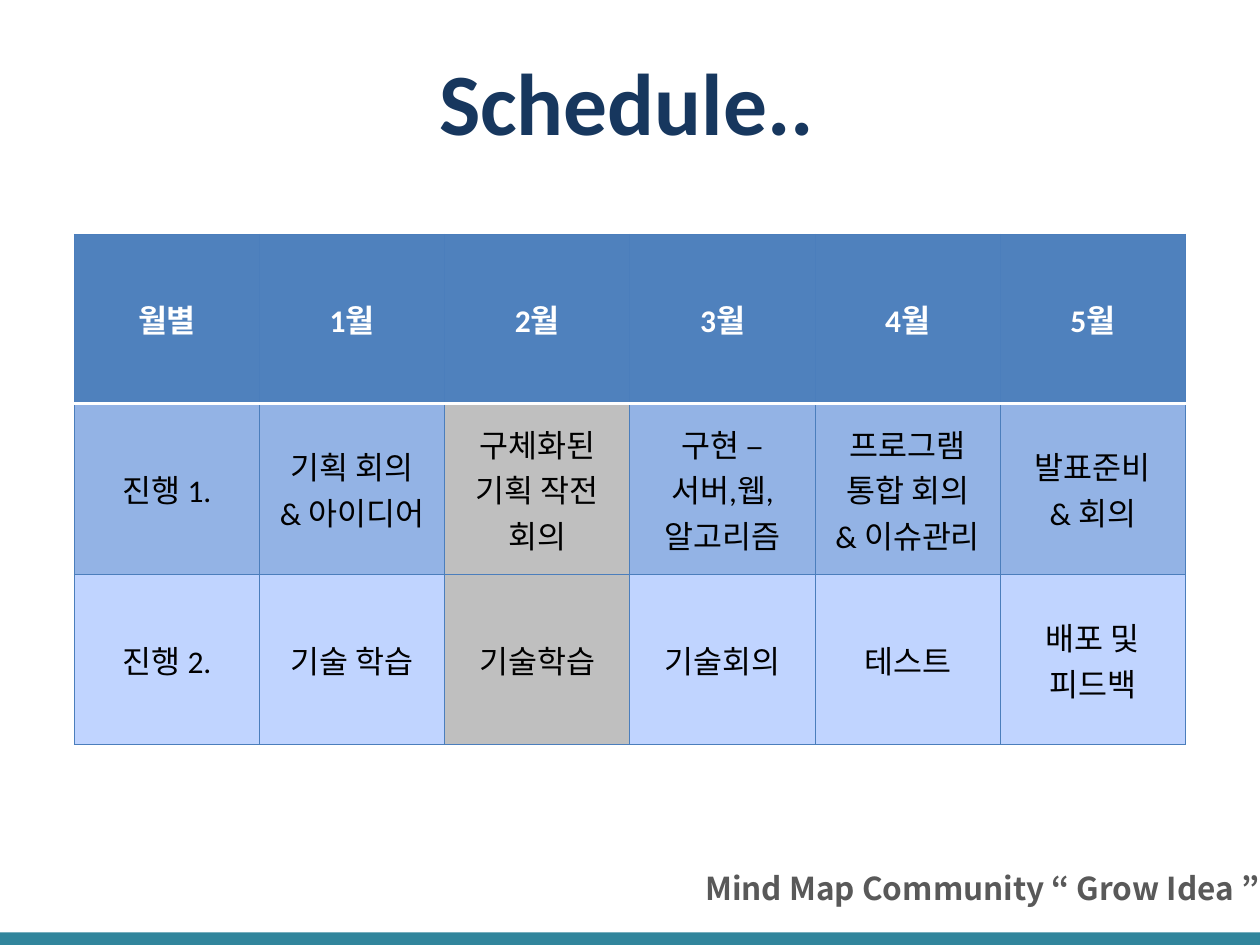
from lxml.etree import SubElement
from pptx import Presentation
from pptx.dml.color import RGBColor
from pptx.enum.shapes import MSO_SHAPE
from pptx.enum.text import MSO_ANCHOR, MSO_AUTO_SIZE, PP_ALIGN
from pptx.oxml.ns import qn
from pptx.util import Inches, Pt

# Content
TITLE = "Schedule.."
FOOTER = "Mind Map Community “ Grow Idea ”"
SCHEDULE = [
    ["월별", "1월", "2월", "3월", "4월", "5월"],
    ["진행 1.", "기획 회의\n& 아이디어", "구체화된\n기획 작전 회의",
     "구현 –\n서버,웹, 알고리즘", "프로그램\n통합 회의\n& 이슈관리", "발표준비\n& 회의"],
    ["진행 2.", "기술 학습", "기술학습", "기술회의", "테스트", "배포 및 피드백"],
]
GREY_COLUMN = 2
ROW_HEIGHTS = [1.34, 1.36, 1.35]
COLUMN_WIDTH = 1.47

COLORS = {
    "title": "17375E", "footer": "595959", "bar": "31859C",
    "header": "4F81BD", "row1": "93B3E5", "row2": "C0D4FF", "grey": "BFBFBF",
    "line": "4B7EBC", "white": "FFFFFF", "black": "000000",
}
ROW_FILLS = ["header", "row1", "row2"]


def rgb(name):
    return RGBColor.from_string(COLORS[name])


def set_font(p, size, color, bold, name="Calibri"):
    p.font.size, p.font.bold, p.font.name = Pt(size), bold, name
    p.font.color.rgb = rgb(color)


def place(sp, left, top, width, height):
    sp.left, sp.top = Inches(left), Inches(top)
    sp.width, sp.height = Inches(width), Inches(height)


def set_border(cell, side, color, width):
    ln = SubElement(cell._tc.get_or_add_tcPr(), qn(f"a:{side}"), w=str(Pt(width)))
    fill = SubElement(ln, qn("a:solidFill"))
    SubElement(fill, qn("a:srgbClr"), val=COLORS[color])


prs = Presentation()
prs.slide_width, prs.slide_height = Inches(10), Inches(7.5)
s = prs.slides.add_slide(prs.slide_layouts[5])

# Bottom bar
bar = s.shapes.add_shape(MSO_SHAPE.RECTANGLE, 0, Inches(7.4), prs.slide_width, Inches(0.1))
bar.shadow.inherit = False
bar.fill.solid()
bar.fill.fore_color.rgb = rgb("bar")
bar.line.fill.background()

# Title
title = s.shapes.title
place(title, 3.37, 0.33, 3.21, 0.94)
tf = title.text_frame
tf.text = TITLE
tf.word_wrap = False
tf.auto_size = MSO_AUTO_SIZE.NONE
tf.paragraphs[0].alignment = PP_ALIGN.CENTER
set_font(tf.paragraphs[0], 50, "title", True)

# Schedule table
rows, cols = len(SCHEDULE), len(SCHEDULE[0])
frame = s.shapes.add_table(rows, cols, Inches(0.59), Inches(1.86),
                           Inches(COLUMN_WIDTH * cols), Inches(sum(ROW_HEIGHTS)))
table = frame.table
for column in table.columns:
    column.width = Inches(COLUMN_WIDTH)
for i, texts in enumerate(SCHEDULE):
    table.rows[i].height = Inches(ROW_HEIGHTS[i])
    for j, text in enumerate(texts):
        cell = table.cell(i, j)
        cell.text = text
        cell.vertical_anchor = MSO_ANCHOR.MIDDLE
        for p in cell.text_frame.paragraphs:
            p.alignment = PP_ALIGN.CENTER
            set_font(p, 18, "black" if i else "white", i == 0)
        for side in ("lnL", "lnR", "lnT", "lnB"):
            under_header = (i, side) in ((0, "lnB"), (1, "lnT"))
            set_border(cell, side, *(("white", 2) if under_header else ("line", 0.75)))
        cell.fill.solid()
        cell.fill.fore_color.rgb = rgb("grey" if i and j == GREY_COLUMN else ROW_FILLS[i])

# Footer
footer = s.shapes.add_textbox(Inches(5.5), Inches(6.85), Inches(6.9), Inches(0.4))
tf = footer.text_frame
tf.word_wrap = True
tf.text = FOOTER
tf.paragraphs[0].alignment = PP_ALIGN.JUSTIFY
set_font(tf.paragraphs[0], 18, "footer", True, "Noto Sans CJK KR")

prs.save("out.pptx")
